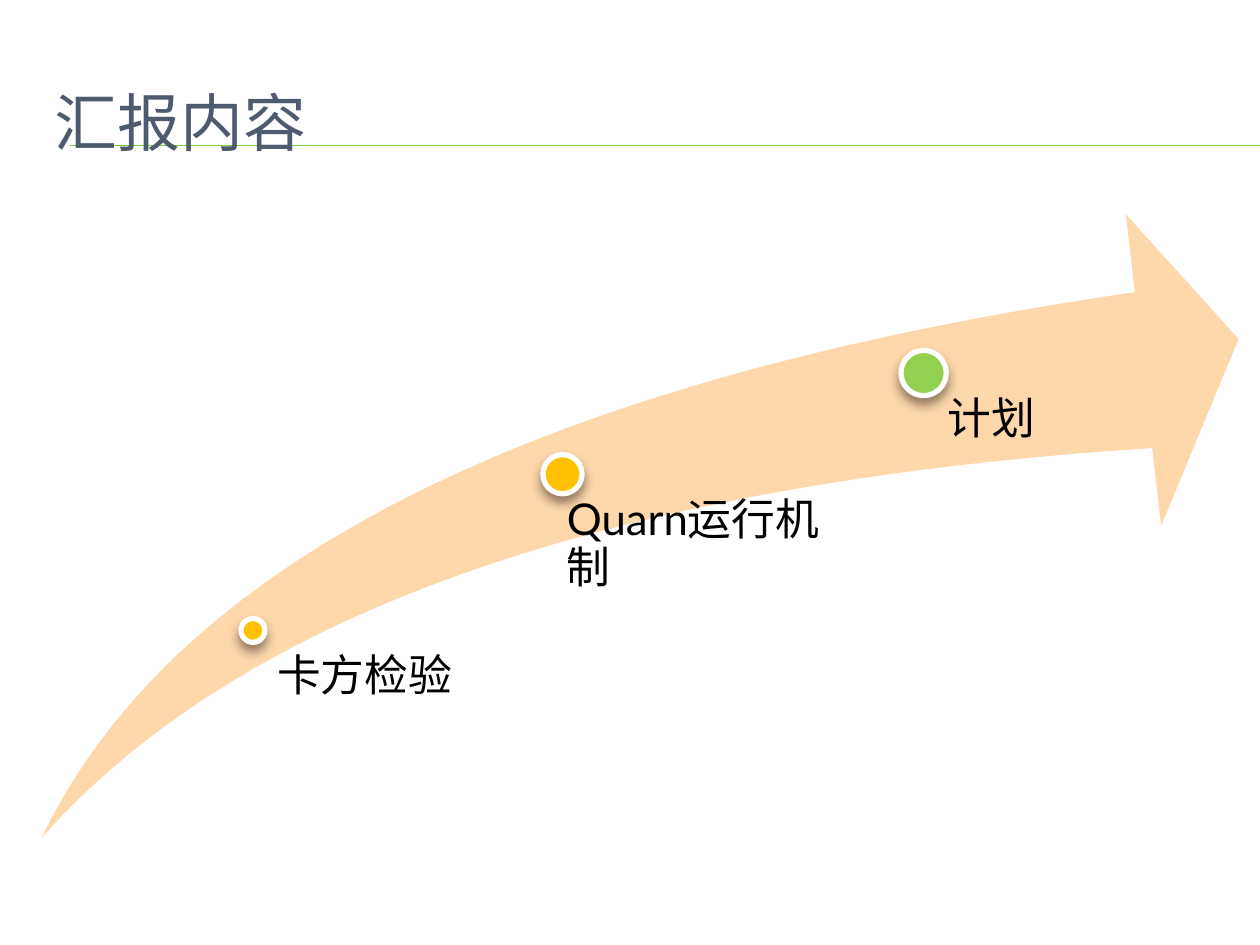
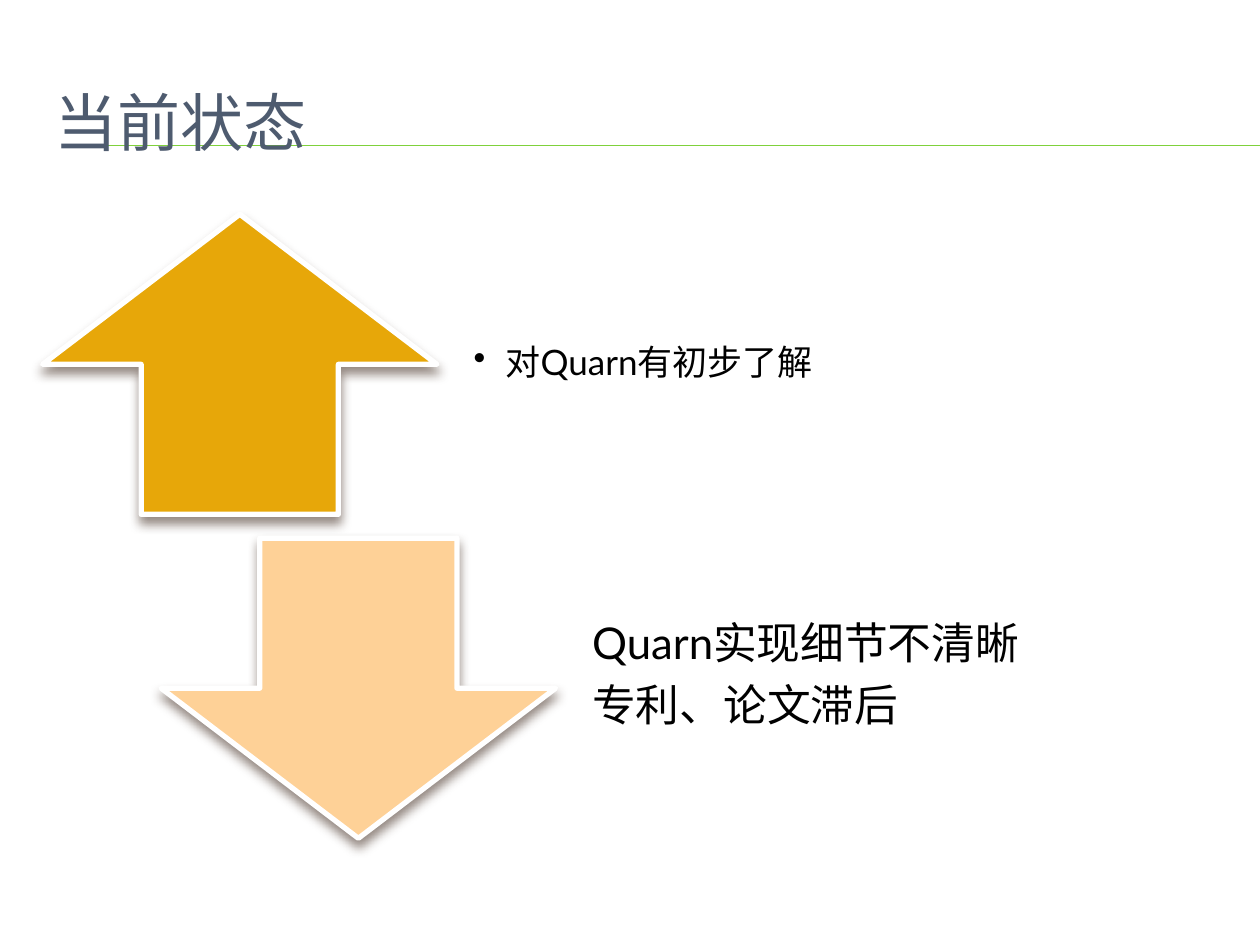
"""Build a two-slide report: an agenda along a rising arrow, and the current state."""
from dataclasses import dataclass

from lxml import etree
from pptx import Presentation
from pptx import util as u
from pptx.dml.color import RGBColor
from pptx.enum import shapes, text
from pptx.oxml import parse_xml
from pptx.oxml.ns import nsdecls, qn

FONT = "Lato"
BLACK = RGBColor(0x00, 0x00, 0x00)
WHITE = RGBColor(0xFF, 0xFF, 0xFF)
TITLE_GREY = RGBColor(0x4E, 0x5B, 0x6F)
RULE_GREEN = RGBColor(0x7F, 0xD1, 0x3B)
AMBER = RGBColor(0xFF, 0xC0, 0x00)
GREEN = RGBColor(0x92, 0xD0, 0x50)
PALE_ORANGE = RGBColor(0xFE, 0xD8, 0xAB)
GOLD = RGBColor(0xE7, 0xA7, 0x09)
PEACH = RGBColor(0xFE, 0xD1, 0x97)
SHADOW_BROWN = RGBColor(0x4E, 0x3B, 0x30)

# Lengths below are centimetres.
SLIDE_WIDTH, SLIDE_HEIGHT = 25.4, 19.05
MARGIN, CONTENT_TOP, CONTENT_WIDTH = 0.84, 4.32, 24.13
RULE_LEFT, RULE_HEIGHTS = 1.42, (2.93, 2.94)
INSET = 0.48
BULLET_INDENT = 0.64
LABEL_HEIGHT = 3.28
ARROW_WIDTH, ARROW_HEIGHT = 7.95, 6.05
STATE_TEXT_OFFSET, STATE_TEXT_WIDTH = 8.21, 13.51


@dataclass(frozen=True)
class Milestone:
    """A dot on the agenda arrow, with its label below and to the right."""
    label: str
    center_x: float
    center_y: float
    diameter: float
    color: RGBColor
    label_left: float
    label_width: float


@dataclass(frozen=True)
class State:
    """A block arrow with statements beside it."""
    lines: tuple[str, ...]
    arrow: shapes.MSO_SHAPE
    left: float
    top: float
    color: RGBColor
    size: float
    space_after: float
    top_inset: float = 0
    bullet: bool = False


MILESTONES = (
    Milestone("卡方检验", 5.1, 12.71, 0.48, AMBER, 5.11, 6.05),
    Milestone("Quarn运行机制", 11.34, 9.56, 0.79, AMBER, 10.95, 6.83),
    Milestone("计划", 18.62, 7.52, 0.91, GREEN, 18.62, 6.05),
)
STATES = (
    State(("对Quarn有初步了解",), shapes.MSO_SHAPE.UP_ARROW, 0.86, CONTENT_TOP,
          GOLD, size=20, space_after=3, top_inset=0.48, bullet=True),
    State(("Quarn实现细节不清晰", "专利、论文滞后"), shapes.MSO_SHAPE.DOWN_ARROW,
          3.25, 10.85, PEACH, size=25, space_after=8.75),
)


def add_bullet(paragraph) -> None:
    """Give a paragraph a round bullet with a hanging indent."""
    properties = paragraph._p.get_or_add_pPr()
    indent = u.Cm(BULLET_INDENT)
    properties.set("marL", str(indent))
    properties.set("indent", str(-indent))
    etree.SubElement(properties, qn("a:buChar")).set("char", "•")


def add_text(slide, lines: tuple[str, ...], left: float, top: float, width: float,
             height: float, *, size: float = 25, color: RGBColor = BLACK,
             anchor=text.MSO_ANCHOR.TOP,
             insets: tuple[float, float, float, float] = (INSET,) * 4,
             line_spacing: float = 0.9, space_after: float = 0,
             bullet: bool = False) -> None:
    """Add a wrapped text box with one paragraph for each line."""
    box = slide.shapes.add_textbox(u.Cm(left), u.Cm(top), u.Cm(width), u.Cm(height))
    frame = box.text_frame
    frame.word_wrap = True
    frame.vertical_anchor = anchor
    (frame.margin_left, frame.margin_top,
     frame.margin_right, frame.margin_bottom) = (u.Cm(inset) for inset in insets)
    for index, line in enumerate(lines):
        paragraph = frame.add_paragraph() if index else frame.paragraphs[0]
        paragraph.line_spacing = line_spacing
        paragraph.space_after = u.Pt(space_after)
        if bullet:
            add_bullet(paragraph)
        run = paragraph.add_run()
        run.text = line
        run.font.name = FONT
        run.font.size = u.Pt(size)
        run.font.color.rgb = color


def add_shadow(shape) -> None:
    """Add a soft brown shadow straight below a shape."""
    shape._element.spPr.append(parse_xml(
        f'<a:effectLst {nsdecls("a")}>'
        f'<a:outerShdw blurRad="{u.Pt(6)}" dist="{u.Pt(4)}" dir="5400000" rotWithShape="0">'
        f'<a:srgbClr val="{SHADOW_BROWN}"><a:alpha val="60000"/></a:srgbClr>'
        '</a:outerShdw></a:effectLst>'))


def add_figure(slide, kind: shapes.MSO_SHAPE, left: float, top: float, width: float,
               height: float, color: RGBColor, raised: bool = True) -> None:
    """Add a filled shape; a raised one has a white outline and a shadow."""
    shape = slide.shapes.add_shape(kind, u.Cm(left), u.Cm(top), u.Cm(width), u.Cm(height))
    shape.fill.solid()
    shape.fill.fore_color.rgb = color
    if raised:
        shape.line.color.rgb = WHITE
        shape.line.width = u.Pt(3)
        add_shadow(shape)
    else:
        shape.line.fill.background()
        shape.shadow.inherit = False


def add_titled_slide(presentation, title: str):
    """Add a blank slide with the double green rule and the title."""
    slide = presentation.slides.add_slide(presentation.slide_layouts[6])
    for height in RULE_HEIGHTS:
        rule = slide.shapes.add_connector(
            shapes.MSO_CONNECTOR.STRAIGHT, u.Cm(RULE_LEFT), u.Cm(height),
            u.Cm(SLIDE_WIDTH), u.Cm(height))
        rule.line.color.rgb = RULE_GREEN
        rule.line.width = u.Pt(0.75)
        etree.SubElement(rule._element.spPr, qn("a:effectLst"))
    add_text(slide, (title,), MARGIN, 1.27, CONTENT_WIDTH, 2.34, size=36,
             color=TITLE_GREY, anchor=text.MSO_ANCHOR.MIDDLE,
             insets=(0.25, 0.13, 0.25, 0.13), line_spacing=1.0)
    return slide


def add_milestone(slide, milestone: Milestone) -> None:
    """Draw a milestone's label and its dot."""
    add_text(slide, (milestone.label,), milestone.label_left, milestone.center_y,
             milestone.label_width, LABEL_HEIGHT)
    radius = milestone.diameter / 2
    add_figure(slide, shapes.MSO_SHAPE.OVAL, milestone.center_x - radius,
               milestone.center_y - radius, milestone.diameter, milestone.diameter,
               milestone.color)


def add_state(slide, state: State) -> None:
    """Draw a block arrow and the statements to its right."""
    add_figure(slide, state.arrow, state.left, state.top, ARROW_WIDTH, ARROW_HEIGHT,
               state.color)
    add_text(slide, state.lines, state.left + STATE_TEXT_OFFSET, state.top,
             STATE_TEXT_WIDTH, ARROW_HEIGHT, size=state.size,
             anchor=text.MSO_ANCHOR.MIDDLE,
             insets=(INSET, state.top_inset, INSET, INSET),
             space_after=state.space_after, bullet=state.bullet)


def main() -> None:
    """Build and save the presentation."""
    presentation = Presentation()
    presentation.slide_width = u.Cm(SLIDE_WIDTH)
    presentation.slide_height = u.Cm(SLIDE_HEIGHT)

    agenda = add_titled_slide(presentation, "汇报内容")
    add_figure(agenda, shapes.MSO_SHAPE.SWOOSH_ARROW, MARGIN, CONTENT_TOP,
               CONTENT_WIDTH, 12.57, PALE_ORANGE, raised=False)
    for milestone in MILESTONES:
        add_milestone(agenda, milestone)

    status = add_titled_slide(presentation, "当前状态")
    for state in STATES:
        add_state(status, state)

    presentation.save("out.pptx")


main()
